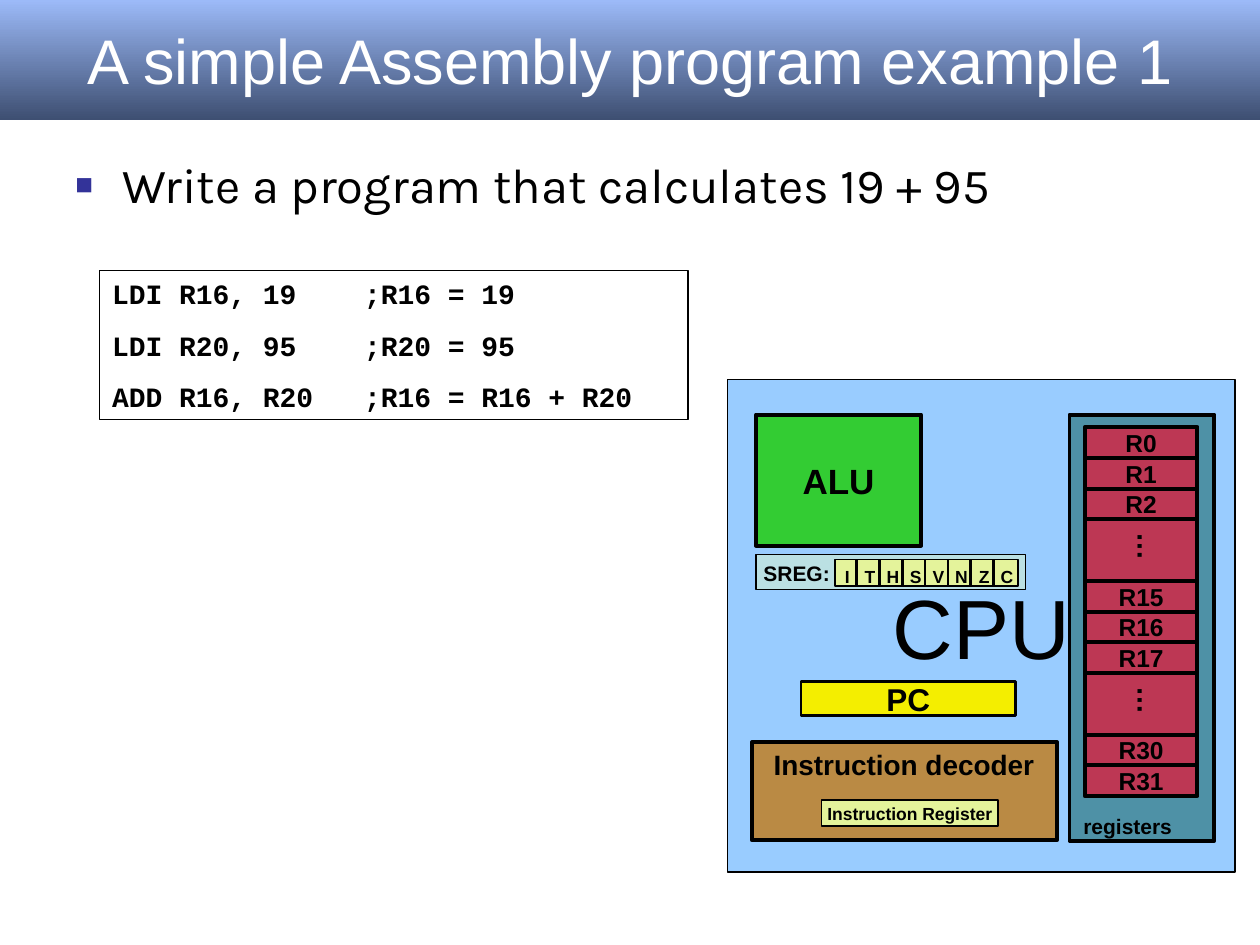
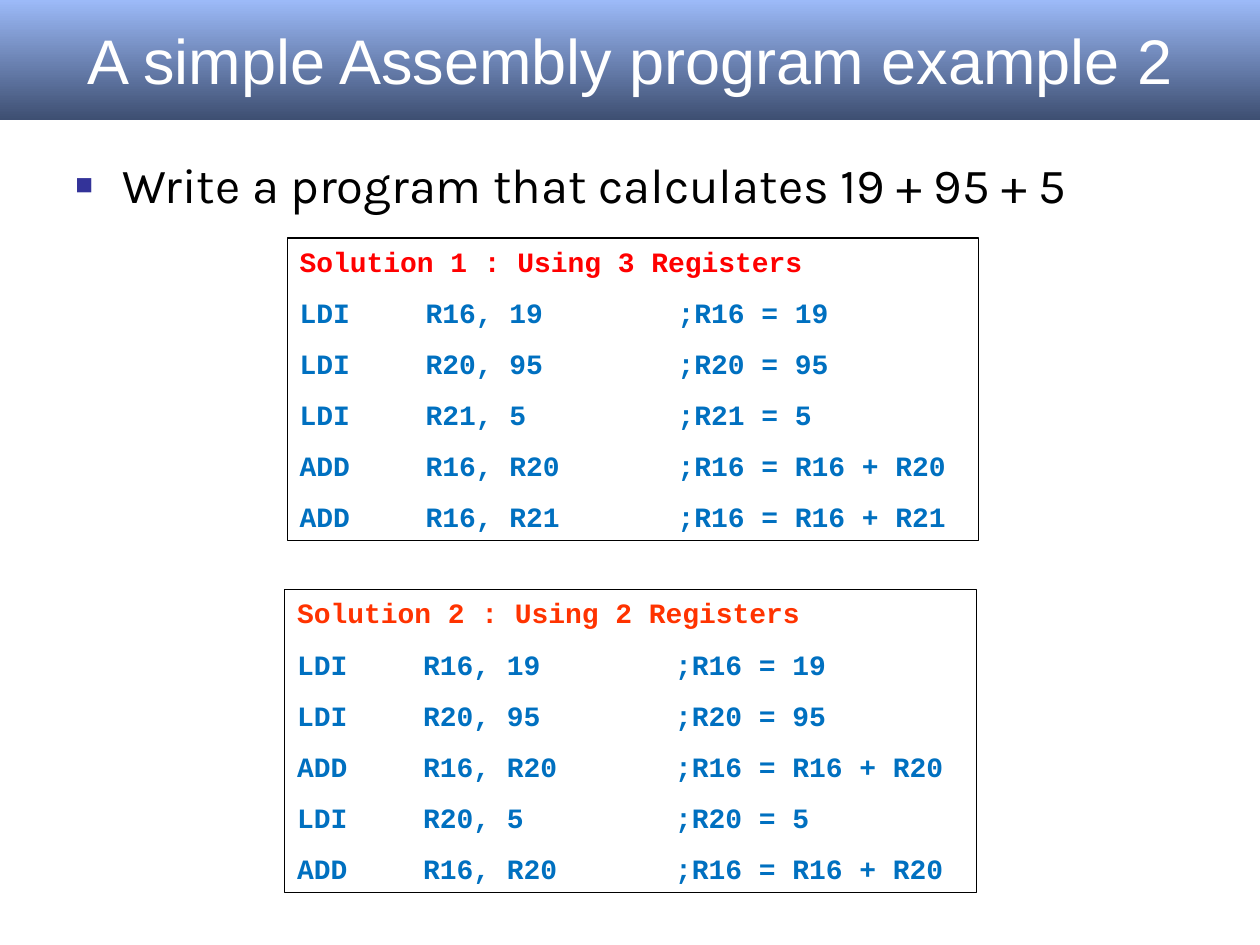
"""Build two slides on simple Assembly programs."""
from lxml.etree import SubElement
from pptx import Presentation
from pptx.dml.color import RGBColor
from pptx.enum.shapes import MSO_CONNECTOR as CONN, MSO_SHAPE as SHAPE
from pptx.enum.text import MSO_ANCHOR as ANCHOR, MSO_AUTO_SIZE as AUTO, PP_ALIGN as ALIGN
from pptx.oxml.ns import qn
from pptx.util import Cm, Pt

BLACK = RGBColor(0x00, 0x00, 0x00)
WHITE = RGBColor(0xFF, 0xFF, 0xFF)
BAND_TOP = RGBColor(0x9C, 0xBA, 0xF8)
BAND_BOTTOM = RGBColor(0x3E, 0x4F, 0x72)
BULLET = "333399"
RED = RGBColor(0xFF, 0x00, 0x00)
ORANGE = RGBColor(0xFF, 0x33, 0x00)
CODE_BLUE = RGBColor(0x00, 0x70, 0xC0)
SKY = RGBColor(0x99, 0xCC, 0xFF)
YELLOW = RGBColor(0xF4, 0xEE, 0x00)
GREEN = RGBColor(0x33, 0xCC, 0x33)
TEAL = RGBColor(0x4E, 0x91, 0xA6)
CRIMSON = RGBColor(0xBD, 0x37, 0x54)
BROWN = RGBColor(0xBA, 0x8A, 0x44)
LIME = RGBColor(0xE4, 0xF3, 0x9B)
PALE_TEAL = RGBColor(0xBB, 0xE0, 0xE3)

SANS, BODY, MONO = "Arial", "Karla", "Courier New"


class Deck:
    def __init__(self):
        self.prs = Presentation()
        self.prs.slide_width, self.prs.slide_height = Cm(25.4), Cm(19.05)

    def slide(self, title, task):
        self.s = self.prs.slides.add_slide(self.prs.slide_layouts[5])
        self.shapes = self.s.shapes
        sp = self.s.shapes.title
        sp.left, sp.top, sp.width, sp.height = Cm(0), Cm(0), Cm(25.4), Cm(2.41)
        sp.fill.gradient()
        sp.fill.gradient_angle = 270
        for stop, color in zip(sp.fill.gradient_stops, (BAND_TOP, BAND_BOTTOM)):
            stop.color.rgb = color
        tf = sp.text_frame
        tf.text = title
        tf.auto_size, tf.vertical_anchor = AUTO.NONE, ANCHOR.MIDDLE
        self.style(tf.paragraphs[0], 36, WHITE, False, align=ALIGN.CENTER)
        self.bullet(task)

    def style(self, p, size, color=BLACK, bold=True, font=SANS, align=ALIGN.LEFT):
        p.alignment = align
        for r in p.runs:
            r.font.name, r.font.size, r.font.bold = font, Pt(size), bold
            r.font.color.rgb = color

    def bullet(self, text):
        tf = self.text(text, 1.27, 3, 23.2, 14.96, 28, bold=False, font=BODY).text_frame
        pPr = tf.paragraphs[0]._p.get_or_add_pPr()
        pPr.set("marL", str(Cm(0.95)))
        pPr.set("indent", str(-Cm(0.95)))
        SubElement(SubElement(pPr, qn("a:buClr")), qn("a:srgbClr"), val=BULLET)
        SubElement(pPr, qn("a:buSzPct"), val="60000")
        SubElement(pPr, qn("a:buFont"), typeface=SANS)
        SubElement(pPr, qn("a:buChar"), char="■")

    def text(self, text, x, y, w, h, size, inset=0.25, **style):
        sp = self.shapes.add_textbox(Cm(x), Cm(y), Cm(w), Cm(h))
        tf = sp.text_frame
        tf.word_wrap = True
        tf.margin_left = tf.margin_right = Cm(inset)
        tf.text = text
        self.style(tf.paragraphs[0], size, **style)
        return sp

    def box(self, x, y, w, h, fill=None, line=2.25, text="", size=14, bold=True):
        sp = self.shapes.add_shape(SHAPE.RECTANGLE, Cm(x), Cm(y), Cm(w), Cm(h))
        sp.shadow.inherit = False
        if fill is None:
            sp.fill.background()
        else:
            sp.fill.solid()
            sp.fill.fore_color.rgb = fill
        sp.line.color.rgb, sp.line.width = BLACK, Pt(line)
        if text:
            tf = sp.text_frame
            tf.text = text
            tf.word_wrap, tf.vertical_anchor = False, ANCHOR.MIDDLE
            self.style(tf.paragraphs[0], size, bold=bold, align=ALIGN.CENTER)
        return sp

    def line(self, x1, y1, x2, y2, width):
        c = self.shapes.add_connector(CONN.STRAIGHT, Cm(x1), Cm(y1), Cm(x2), Cm(y2))
        c.line.color.rgb, c.line.width = BLACK, Pt(width)
        SubElement(c._element.spPr, qn("a:effectLst"))

    def code(self, x, y, w, h, lines, color=BLACK, heading=None):
        tf = self.box(x, y, w, h, line=0.75).text_frame
        tf.word_wrap, tf.vertical_anchor = True, ANCHOR.TOP
        tf.text = "\n".join(lines)
        for i, p in enumerate(tf.paragraphs):
            tabs = SubElement(p._p.get_or_add_pPr(), qn("a:tabLst"))
            for n in range(1, 4):
                SubElement(tabs, qn("a:tab"), pos=str(Cm(2.54 * n)), algn="l")
            if i:
                p.space_before = Pt(10)
            self.style(p, 16, heading if heading and i == 0 else color, font=MONO)

    def registers(self):
        x, top, w, row = 21.87, 8.61, 2.27, 0.62
        self.box(21.56, 8.36, 2.92, 8.59, TEAL)
        self.text("registers", 21.59, 16.28, 2.9, 0.76, 12)
        for ends in ((x, top, x, 15.77), (x + w, top, x + w, 15.77), (x, top, x + w, top)):
            self.line(*ends, 2.25)
        y = top
        for name in ("R0", "R1", "R2", "…", "R15", "R16", "R17", "…", "R30", "R31"):
            if name == "…":
                self.box(x, y, w, 2 * row, CRIMSON)
                self.text(name, 22.53, y + 0.17, 1.24, 0.94, 16).rotation = 90
                y += 2 * row
            else:
                self.box(x, y, w, row, CRIMSON, text=name)
                y += row

    def status_register(self):
        flags, step = "ITHSVNZC", 0.46
        self.box(15.24, 11.18, 5.44, 0.71, PALE_TEAL, 0.75)
        self.text("SREG:", 15.14, 11.18, 2.24, 0.76, 12)
        self.box(16.84, 11.28, len(flags) * step, 0.53, LIME, 1)
        for i, flag in enumerate(flags):
            if i:
                self.line(16.81 + i * step, 11.28, 16.81 + i * step, 11.84, 1.5)
            self.text(flag, 16.76 + i * step, 11.28, 0.64, 0.69, 10, inset=0, align=ALIGN.CENTER)

    def cpu(self):
        self.shapes = self.s.shapes.add_group_shape().shapes
        self.box(14.66, 7.65, 10.24, 9.93, SKY, 0.75, "CPU", 48, False)
        self.box(16.15, 13.74, 4.32, 0.69, YELLOW, 1.5, "PC", 18)
        self.box(15.24, 8.36, 3.33, 2.64, GREEN, text="ALU", size=20)
        self.registers()
        self.box(15.16, 14.96, 6.15, 1.98, BROWN)
        self.box(16.56, 16.13, 3.56, 0.53, LIME, 1, "Instruction Register", 10)
        self.text("Instruction decoder", 15.29, 14.94, 5.87, 0.94, 16, align=ALIGN.CENTER)
        self.status_register()


def main():
    deck = Deck()
    deck.slide("A simple Assembly program example 1", "Write a program that calculates 19 + 95")
    deck.code(2.01, 5.46, 11.86, 3, (
        "LDI R16, 19\t;R16 = 19",
        "LDI R20, 95\t;R20 = 95",
        "ADD R16, R20\t;R16 = R16 + R20"))
    deck.cpu()

    deck.slide("A simple Assembly program example 2", "Write a program that calculates 19 + 95 + 5")
    load_19 = "LDI\tR16, 19\t\t;R16 = 19"
    load_95 = "LDI\tR20, 95\t\t;R20 = 95"
    add_r20 = "ADD\tR16, R20\t;R16 = R16 + R20"
    deck.code(5.79, 4.8, 13.94, 6.1, (
        "Solution 1 : Using 3 Registers", load_19, load_95,
        "LDI\tR21, 5\t\t;R21 = 5", add_r20,
        "ADD\tR16, R21\t;R16 = R16 + R21"), CODE_BLUE, RED)
    deck.code(5.74, 11.89, 13.94, 6.1, (
        "Solution 2 : Using 2 Registers", load_19, load_95, add_r20,
        "LDI\tR20, 5\t\t;R20 = 5", add_r20), CODE_BLUE, ORANGE)
    deck.prs.save("out.pptx")


if __name__ == "__main__":
    main()
